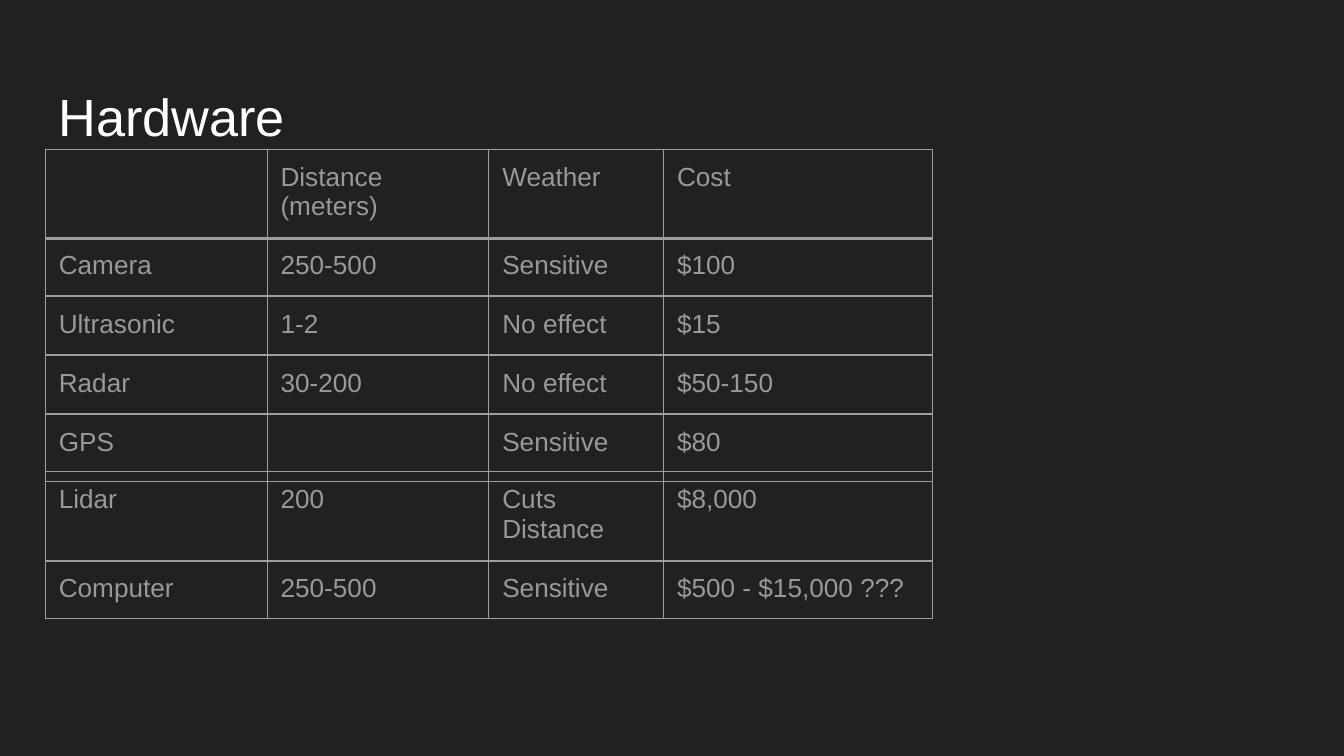
from lxml.etree import SubElement
from pptx import Presentation
from pptx.dml.color import RGBColor
from pptx.enum.text import MSO_ANCHOR
from pptx.oxml.ns import qn
from pptx.util import Pt

COLORS = {"background": "212121", "title": "FFFFFF", "text": "999999", "border": "9E9E9E"}
FONT = "Arial"
LEFT = 24.3
COLUMNS = (118.8, 118.8, 93.6, 144)
ROW_HEIGHT = 30.24
HARDWARE = [
    (80, ("", "Distance (meters)", "Weather", "Cost")),
    (127.4, ("Camera", "250-500", "Sensitive", "$100")),
    (159, ("Ultrasonic", "1-2", "No effect", "$15")),
    (190.6, ("Radar", "30-200", "No effect", "$50-150")),
    (252.6, ("Lidar", "200", "Cuts Distance", "$8,000")),
    (221.8, ("GPS", "", "Sensitive", "$80")),
    (300.2, ("Computer", "250-500", "Sensitive", "$500 - $15,000 ???")),
]


class SlideBuilder:
    def __init__(self, deck):
        self.page = deck.slides.add_slide(deck.slide_layouts[6])
        fill = self.page.background.fill
        fill.solid()
        fill.fore_color.rgb = RGBColor.from_string(COLORS["background"])

    def style(self, para, size, color):
        for span in para.runs:
            span.font.name = FONT
            span.font.size = Pt(size)
            span.font.color.rgb = RGBColor.from_string(COLORS[color])

    def title(self, text, left, top, width, height):
        box = self.page.shapes.add_textbox(Pt(left), Pt(top), Pt(width), Pt(height))
        frame = box.text_frame
        frame.word_wrap = True
        frame.vertical_anchor = MSO_ANCHOR.TOP
        frame.margin_left = frame.margin_right = Pt(7.2)
        frame.margin_top, frame.margin_bottom = Pt(9.7), Pt(0)
        frame.text = text
        self.style(frame.paragraphs[0], 28, "title")

    def border(self, cell):
        properties = cell._tc.get_or_add_tcPr()
        for side in ("a:lnL", "a:lnR", "a:lnT", "a:lnB"):
            line = SubElement(properties, qn(side), w=str(Pt(0.75)))
            fill = SubElement(line, qn("a:solidFill"))
            SubElement(fill, qn("a:srgbClr"), val=COLORS["border"])

    def cell(self, cell, text):
        cell.margin_left = cell.margin_right = Pt(7.2)
        cell.margin_top = cell.margin_bottom = Pt(7.2)
        self.border(cell)
        cell.fill.background()
        para = cell.text_frame.paragraphs[0]
        if text:
            para.text = text
            self.style(para, 14, "text")
        else:
            ending = SubElement(para._p, qn("a:endParaRPr"), sz="1800")
            SubElement(ending, qn("a:latin"), typeface=FONT)

    def row_table(self, top, texts):
        frame = self.page.shapes.add_table(
            1, len(COLUMNS), Pt(LEFT), Pt(top), Pt(sum(COLUMNS)), Pt(ROW_HEIGHT)
        )
        table = frame.table
        table.first_row = table.horz_banding = False
        for column, width, cell, text in zip(table.columns, COLUMNS, table.rows[0].cells, texts):
            column.width = Pt(width)
            self.cell(cell, text)


def main():
    deck = Presentation()
    deck.slide_width, deck.slide_height = Pt(720), Pt(405)
    builder = SlideBuilder(deck)
    builder.title("Hardware", LEFT, 35.3, 671, 45.4)
    for top, texts in HARDWARE:
        builder.row_table(top, texts)
    deck.save("out.pptx")


if __name__ == "__main__":
    main()
